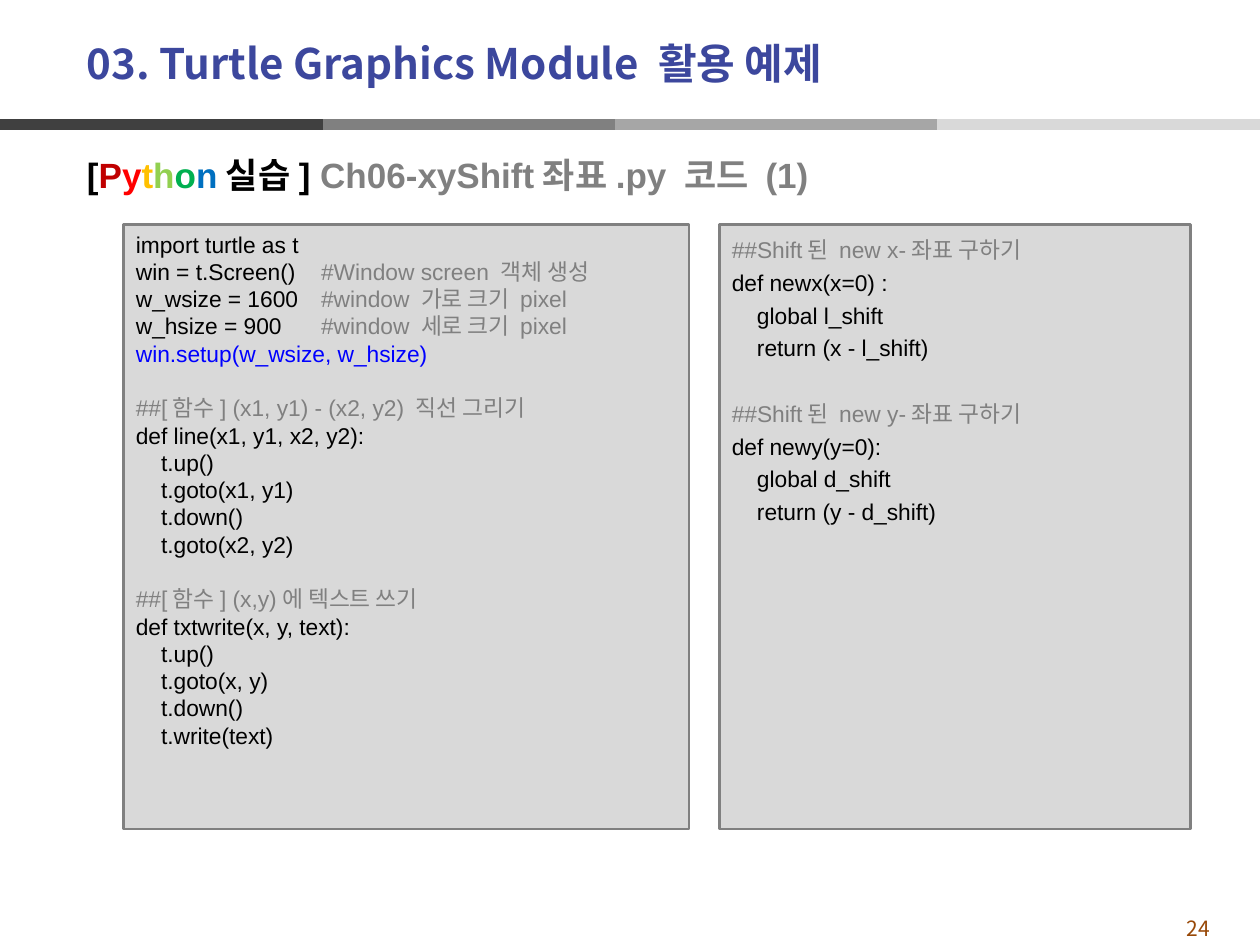
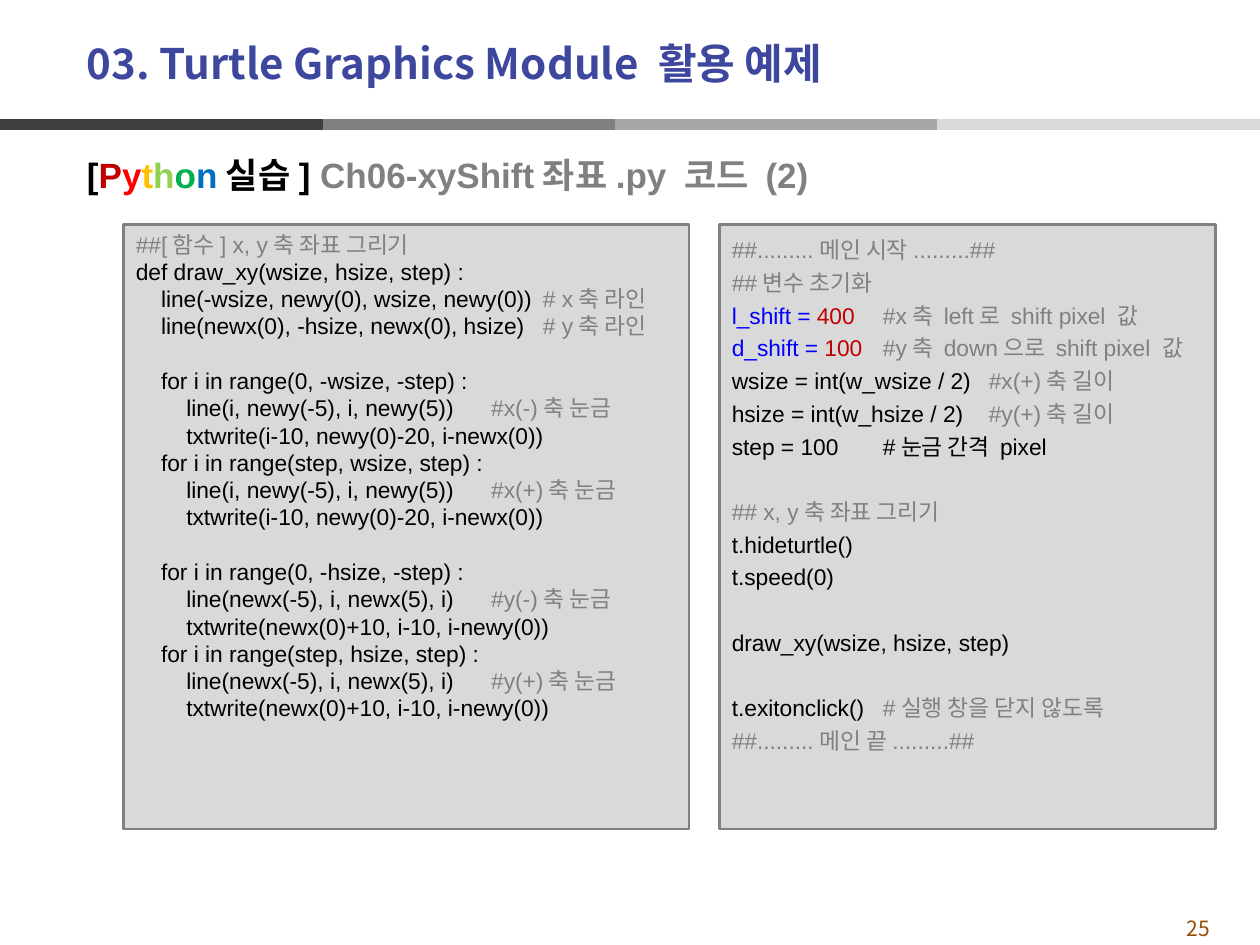
from lxml.etree import SubElement
from pptx import Presentation
from pptx.dml.color import RGBColor
from pptx.enum.shapes import MSO_CONNECTOR, MSO_SHAPE
from pptx.enum.text import MSO_ANCHOR, MSO_AUTO_SIZE, PP_ALIGN
from pptx.oxml.ns import qn
from pptx.util import Inches, Pt

COLORS = {
    "title": "3C479D", "number": "984807", "code": "000000", "comment": "808080",
    "call": "0000FF", "value": "C00000", "panel": "D9D9D9", "border": "808080",
}
BANDS = ["404040", "808080", "A6A6A6", "D9D9D9"]
BAND_EDGES = [0, 25.6, 48.8, 74.4, 100]
PYTHON_LETTERS = dict(zip("Python", ["C00000", "FF0000", "FFC000", "92D050", "00B050", "0070C0"]))
HANGUL_FONT, CODE_FONT = "Noto Sans CJK KR", "Arial"
INDENT_STOPS = [0.2, 0.4]
SINGLE, LOOSE = 15.6, 18.7  # line pitch of the code in points
COLUMNS, ROWS = 100, 75


class Deck:
    """Holds the shared style and the current slide; lengths are grid columns and rows."""

    def __init__(self):
        self.prs = Presentation()
        self.prs.slide_width, self.prs.slide_height = Inches(10), Inches(7.5)
        self.slide = None

    def x(self, columns):
        return round(self.prs.slide_width * columns / COLUMNS)

    def y(self, rows):
        return round(self.prs.slide_height * rows / ROWS)

    def box(self, left, top, width, height):
        return self.x(left), self.y(top), self.x(width), self.y(height)

    def place(self, shape, *area):
        shape.left, shape.top, shape.width, shape.height = self.box(*area)

    def run(self, paragraph, text, size, color, font=CODE_FONT, bold=False):
        run = paragraph.add_run()
        run.text = text
        run.font.size, run.font.name, run.font.bold = Pt(size), font, bold
        run.font.color.rgb = RGBColor.from_string(color)
        SubElement(run.font._element, qn("a:ea"), typeface=HANGUL_FONT)

    def new_slide(self, title, number):
        self.slide = self.prs.slides.add_slide(self.prs.slide_layouts[1])
        self.bands()
        self.title(title)
        self.page_number(number)

    def bands(self):
        for color, start, end in zip(BANDS, BAND_EDGES, BAND_EDGES[1:]):
            band = self.slide.shapes.add_connector(
                MSO_CONNECTOR.STRAIGHT, self.x(start), self.y(9.9), self.x(end), self.y(9.9))
            band.line.color.rgb = RGBColor.from_string(color)
            band.line.width = Pt(6)
            SubElement(band._element.spPr, qn("a:effectLst"))

    def title(self, text):
        heading = self.slide.shapes.title
        self.place(heading, 5.9, 2, 87.4, 6)
        frame = heading.text_frame
        frame.auto_size, frame.vertical_anchor = MSO_AUTO_SIZE.NONE, MSO_ANCHOR.MIDDLE
        frame.paragraphs[0].alignment = PP_ALIGN.LEFT
        self.run(frame.paragraphs[0], text, 24, COLORS["title"], HANGUL_FONT, True)

    def page_number(self, number):
        frame = self.slide.shapes.add_textbox(*self.box(90.5, 72.2, 9.2, 2.3)).text_frame
        frame.word_wrap = True
        frame.paragraphs[0].alignment = PP_ALIGN.CENTER
        self.run(frame.paragraphs[0], str(number), 12, COLORS["number"], HANGUL_FONT)

    def practice_heading(self, topic):
        body = self.slide.placeholders[1]
        self.place(body, 5.9, 9.9, 93.7, 59.9)
        body.text_frame.auto_size = MSO_AUTO_SIZE.NONE
        heading = body.text_frame.paragraphs[0]
        heading.line_spacing, heading.space_before = Pt(37), Pt(0)
        properties = heading._p.get_or_add_pPr()
        properties.set("marL", "0")
        properties.set("indent", "0")
        SubElement(properties, qn("a:buNone"))
        pieces = [("[", COLORS["code"]), *PYTHON_LETTERS.items(),
                  ("실습] ", COLORS["code"]), (topic, COLORS["comment"])]
        for text, color in pieces:
            self.run(heading, text, 20, color, bold=True)

    def code_panel(self, left, width, blocks, pitch, comment_stops=()):
        """Draws blocks of code lines; a gap of one line parts the blocks."""
        panel = self.slide.shapes.add_shape(MSO_SHAPE.RECTANGLE, *self.box(left, 17.8, width, 48))
        panel.shadow.inherit = False
        panel.fill.solid()
        panel.fill.fore_color.rgb = RGBColor.from_string(COLORS["panel"])
        panel.line.color.rgb = RGBColor.from_string(COLORS["border"])
        panel.line.width = Pt(1.5)
        frame = panel.text_frame
        frame.word_wrap, frame.vertical_anchor = True, MSO_ANCHOR.TOP
        paragraph = frame.paragraphs[0]
        for b, block in enumerate(blocks):
            for n, line in enumerate(block):
                if b or n:
                    paragraph = frame.add_paragraph()
                paragraph.alignment = PP_ALIGN.LEFT
                paragraph.line_spacing = Pt(pitch)
                paragraph.space_before = Pt(pitch if b and not n else 0)
                self.tab_stops(paragraph, [*INDENT_STOPS, *comment_stops])
                for text, role in colored(line):
                    self.run(paragraph, text, 13, COLORS[role])

    def tab_stops(self, paragraph, stops):
        tabs = SubElement(paragraph._p.get_or_add_pPr(), qn("a:tabLst"))
        for stop in stops:
            SubElement(tabs, qn("a:tab"), pos=str(Inches(stop)), algn="l")


def colored(line):
    """Splits a plain line into code and comment; marked lines pass unchanged."""
    if not isinstance(line, str):
        return line
    code, mark, comment = line.partition("#")
    return [(text, role) for text, role in ((code, "code"), (mark + comment, "comment")) if text]


def axis_ticks(axis, size, line, label):
    """Two loops that draw the ticks of the negative and positive half of an axis."""
    lines = []
    for sign, span in (("-", f"0, -{size}, -step"), ("+", f"step, {size}, step")):
        lines += [f"\tfor i in range({span}) :",
                  f"\t\tline({line})\t#{axis}({sign})축 눈금",
                  f"\t\ttxtwrite({label})"]
    return lines


WINDOW_AND_DRAWING = [
    ["import turtle as t",
     "win = t.Screen()\t#Window screen 객체 생성",
     "w_wsize = 1600\t#window 가로 크기 pixel",
     "w_hsize = 900\t#window 세로 크기 pixel",
     [("win.setup(w_wsize, w_hsize)", "call")]],
    ["##[함수] (x1, y1) - (x2, y2) 직선 그리기",
     "def line(x1, y1, x2, y2):",
     "\tt.up()", "\tt.goto(x1, y1)", "\tt.down()", "\tt.goto(x2, y2)"],
    ["##[함수] (x,y)에 텍스트 쓰기",
     "def txtwrite(x, y, text):",
     "\tt.up()", "\tt.goto(x, y)", "\tt.down()", "\tt.write(text)"],
]
SHIFTED_COORDINATES = [
    ["##Shift된 new x-좌표 구하기",
     "def newx(x=0) :", "\tglobal l_shift", "\treturn (x - l_shift)"],
    ["##Shift된 new y-좌표 구하기",
     "def newy(y=0):", "\tglobal d_shift", "\treturn (y - d_shift)"],
]
AXES = [
    ["##[함수] x, y축 좌표 그리기",
     "def draw_xy(wsize, hsize, step) :",
     "\tline(-wsize, newy(0), wsize, newy(0))\t# x축 라인",
     "\tline(newx(0), -hsize, newx(0), hsize)\t# y축 라인"],
    axis_ticks("x", "wsize", "i, newy(-5), i, newy(5)", "i-10, newy(0)-20, i-newx(0)"),
    axis_ticks("y", "hsize", "newx(-5), i, newx(5), i", "newx(0)+10, i-10, i-newy(0)"),
]
MAIN_PROGRAM = [
    ["##.........메인 시작.........##",
     "##변수 초기화",
     [("l_shift = ", "call"), ("400\t", "value"), ("#x축 left로 shift pixel 값", "comment")],
     [("d_shift = ", "call"), ("100\t", "value"), ("#y축 down으로 shift pixel 값", "comment")],
     "wsize = int(w_wsize / 2)\t#x(+)축 길이",
     "hsize = int(w_hsize / 2)\t#y(+)축 길이",
     [("step = 100\t#눈금 간격 pixel", "code")]],
    ["## x, y축 좌표 그리기", "t.hideturtle()", "t.speed(0)"],
    ["draw_xy(wsize, hsize, step)"],
    ["t.exitonclick()\t#실행 창을 닫지 않도록",
     "##.........메인 끝.........##"],
]


def main():
    deck = Deck()
    title = "03. Turtle Graphics Module 활용 예제"

    # Window, drawing helpers and shifted coordinates
    deck.new_slide(title, 24)
    deck.practice_heading("Ch06-xyShift좌표.py 코드 (1)")
    deck.code_panel(9.8, 44.9, WINDOW_AND_DRAWING, SINGLE, [1.47])
    deck.code_panel(57.1, 37.4, SHIFTED_COORDINATES, LOOSE)

    # Axes and main program
    deck.new_slide(title, 25)
    deck.practice_heading("Ch06-xyShift좌표.py 코드 (2)")
    deck.code_panel(9.8, 44.9, AXES, SINGLE, [2.82, 3.23])
    deck.code_panel(57.1, 39.4, MAIN_PROGRAM, LOOSE, [1.2, 2.04])

    deck.prs.save("out.pptx")


if __name__ == "__main__":
    main()
